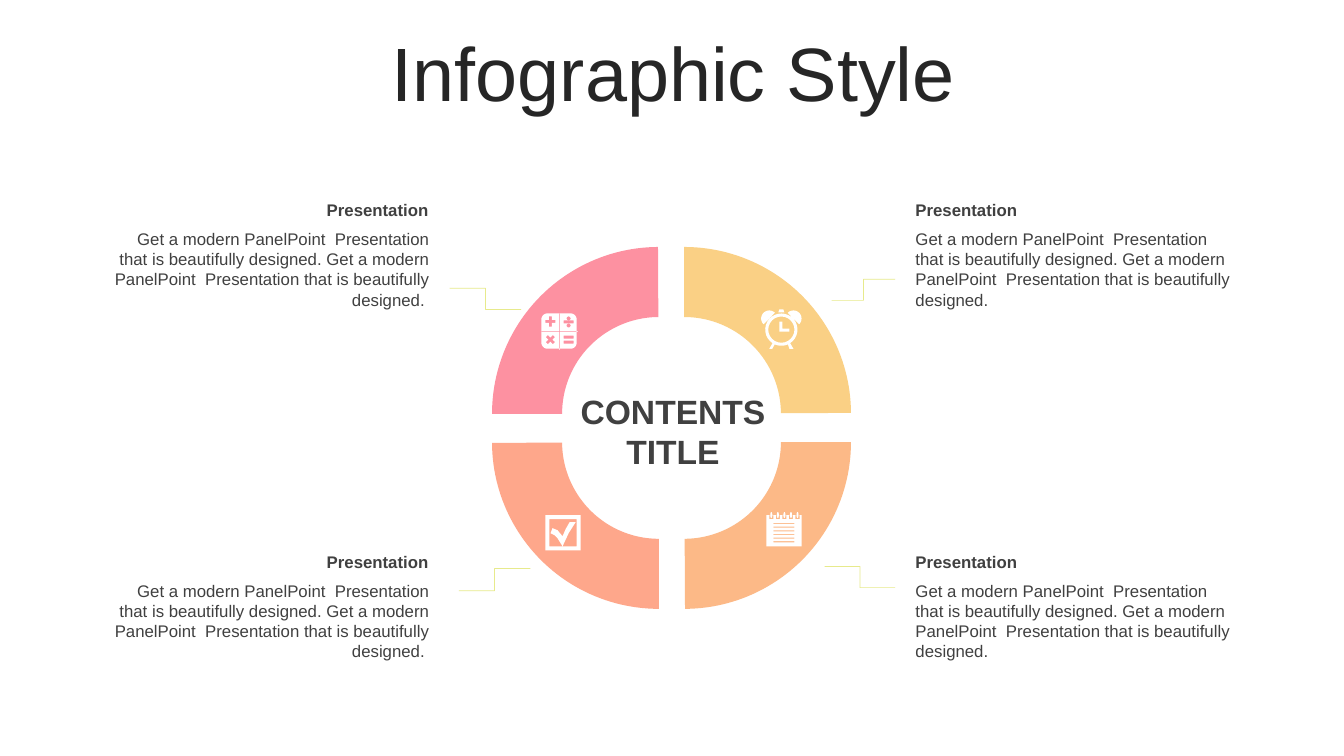
from math import cos, radians, sin

from lxml.etree import SubElement
from pptx import Presentation
from pptx.dml.color import RGBColor
from pptx.enum.shapes import MSO_CONNECTOR, MSO_SHAPE
from pptx.enum.text import MSO_ANCHOR, MSO_AUTO_SIZE, PP_ALIGN
from pptx.oxml.ns import qn
from pptx.util import Inches, Pt

COLORS = {
    "title": "262626", "text": "404040", "icon": "FFFFFF", "line": "DEE25C",
    "pink": "FD91A1", "yellow": "FAD085", "orange": "FCB987", "coral": "FEA78B",
}
BODY = ("Get a modern PanelPoint  Presentation that is beautifully designed. "
        "Get a modern PanelPoint  Presentation that is beautifully designed.")


def color(name):
    """Return the named colour."""
    return RGBColor.from_string(COLORS[name])


def place(sp, x, y, w, h):
    """Move and size a shape, in inches."""
    sp.left, sp.top, sp.width, sp.height = map(Inches, (x, y, w, h))


def write(tf, text, size=12, fill="text", bold=False, align=PP_ALIGN.LEFT, spacing=None):
    """Write one formatted paragraph for each line of text."""
    for i, line in enumerate(text.split("\n")):
        p = tf.add_paragraph() if i else tf.paragraphs[0]
        p.alignment = align
        p.line_spacing = spacing
        r = p.add_run()
        r.text = line
        r.font.name, r.font.size, r.font.bold = "Arial", Pt(size), bold
        r.font.color.rgb = color(fill)


def add_text(s, box, text, inset=0.0, **fmt):
    """Add a wrapping text box with equal side insets."""
    tf = s.shapes.add_textbox(*map(Inches, box)).text_frame
    tf.word_wrap = True
    tf.auto_size = MSO_AUTO_SIZE.SHAPE_TO_FIT_TEXT
    tf.margin_left = tf.margin_right = Inches(inset)
    write(tf, text, **fmt)


def add_note(s, x, y, align):
    """Add a heading with its description below."""
    add_text(s, (x, y, 3.2, 0.3), "Presentation", bold=True, align=align)
    body = BODY + " " if align == PP_ALIGN.RIGHT else BODY
    add_text(s, (x, y + 0.29, 3.21, 0.91), body, align=align)


def paint(sp, fill):
    """Fill a shape and remove its line and shadow."""
    sp.shadow.inherit = False
    sp.fill.solid()
    sp.fill.fore_color.rgb = color(fill)
    sp.line.fill.background()


def add_quarter(s, x, y, turn, fill):
    """Add one quarter of the ring."""
    sp = s.shapes.add_shape(MSO_SHAPE.BLOCK_ARC, *map(Inches, (x, y, 3.31, 3.31)))
    for i, value in enumerate((108, 161.82, 0.21)):
        sp.adjustments[i] = value
    sp.rotation = turn
    paint(sp, fill)


def add_leader(s, x1, y1, x2, y2):
    """Add a thin bent leader line."""
    c = s.shapes.add_connector(MSO_CONNECTOR.ELBOW, *map(Inches, (x1, y1, x2, y2)))
    c.line.width = Pt(0.5)
    c.line.color.rgb = color("line")
    sp_pr = c._element.spPr
    SubElement(sp_pr.find(".//" + qn("a:srgbClr")), qn("a:alpha"), val="70000")
    SubElement(sp_pr, qn("a:effectLst"))


def rect(x, y, w, h):
    """Return the corners of a rectangle."""
    return [(x, y), (x + w, y), (x + w, y + h), (x, y + h)]


def arc(cx, cy, rx, start, end, ry=None):
    """Return points on an arc, clockwise between two angles."""
    angles = [radians(start + (end - start) * i / 24) for i in range(25)]
    return [(cx + rx * cos(a), cy + (ry or rx) * sin(a)) for a in angles]


def oval(cx, cy, rx, ry=None):
    """Return points on a full ellipse."""
    return arc(cx, cy, rx, 0, 360, ry)


def plus(cx, cy, arm, half, turn=0):
    """Return the corners of a plus sign, turned by an angle."""
    points = []
    for quarter in range(4):
        a = radians(turn + 90 * quarter)
        for u, v in ((arm, -half), (arm, half), (half, half)):
            points.append((cx + u * cos(a) - v * sin(a), cy + u * sin(a) + v * cos(a)))
    return points


def add_icon(s, contours):
    """Add a white icon whose inner contours are holes."""
    first, *others = [[(Inches(x), Inches(y)) for x, y in c] for c in contours]
    builder = s.shapes.build_freeform(*first[0])
    builder.add_line_segments(first[1:], close=True)
    for contour in others:
        builder.move_to(*contour[0])
        builder.add_line_segments(contour[1:], close=True)
    paint(builder.convert_to_shape(), "icon")


def clock():
    """Return the contours of the alarm clock."""
    cx, cy = 7.75, 3.27
    outer = (arc(cx, cy, 0.16, 123, 417) + [(7.87, 3.46), (7.83, 3.46)]
             + arc(cx, cy, 0.16, 66, 114) + [(7.66, 3.46), (7.63, 3.46)])
    hands = [(7.73, 3.19), (7.76, 3.19), (7.76, 3.26), (7.83, 3.26), (7.83, 3.29), (7.73, 3.29)]
    knob = [(7.72, 3.1), (7.73, 3.07), (7.77, 3.07), (7.78, 3.1)]
    bells = [arc(7.63, 3.16, 0.08, 135, 315), arc(7.87, 3.16, 0.08, 225, 405)]
    return [outer, oval(cx, cy, 0.13), hands, knob, *bells]


def notepad():
    """Return the contours of the notepad."""
    lines = [rect(7.67, 5.19 + 0.18 * i / 5, 0.21, 0.01) for i in range(6)]
    centers = [7.65 + 0.26 * i / 4 for i in range(5)]
    slots = [rect(x - 0.02, 5.11, 0.04, 0.04) for x in centers]
    rings = [oval(x, 5.11, 0.01, 0.03) for x in centers]
    return [rect(7.6, 5.11, 0.35, 0.31), *lines, *slots, *rings]


def calculator():
    """Return the contours of the calculator."""
    corners = [(5.43, 3.17, 180), (5.66, 3.17, 270), (5.66, 3.4, 0), (5.43, 3.4, 90)]
    body = [pt for x, y, a in corners for pt in arc(x, y, 0.06, a, a + 90)]
    bars = [rect(5.59, y, 0.1, 0.03) for y in (3.18, 3.33, 3.38)]
    dots = [oval(5.64, y, 0.02) for y in (3.16, 3.23)]
    return [body, plus(5.55, 3.29, 0.18, 0.004), plus(5.46, 3.19, 0.05, 0.015),
            plus(5.46, 3.37, 0.05, 0.015, 45), *bars, *dots]


def checkbox():
    """Return the contours of the ticked box."""
    tick = [(5.46, 5.29), (5.48, 5.24), (5.53, 5.26), (5.58, 5.32), (5.61, 5.25), (5.65, 5.18),
            (5.71, 5.18), (5.64, 5.29), (5.58, 5.42), (5.53, 5.34), (5.5, 5.31)]
    return [rect(5.41, 5.11, 0.35, 0.35), rect(5.45, 5.15, 0.27, 0.27), tick]


def main():
    """Build the slide and save it."""
    prs = Presentation()
    prs.slide_width, prs.slide_height = Inches(13.33), Inches(7.5)
    s = prs.slides.add_slide(prs.slide_layouts[5])
    title = s.shapes.title
    place(title, 0.35, 0.37, 12.66, 0.79)
    tf = title.text_frame
    tf.auto_size = MSO_AUTO_SIZE.NONE
    tf.vertical_anchor = MSO_ANCHOR.MIDDLE
    write(tf, "Infographic Style", size=54, fill="title", align=PP_ALIGN.CENTER, spacing=0.9)

    for quarter in ((4.88, 2.45, 0, "pink"), (5.13, 2.45, 90, "yellow"),
                    (5.13, 2.73, 180, "orange"), (4.88, 2.73, 270, "coral")):
        add_quarter(s, *quarter)
    for x, align in ((9.08, PP_ALIGN.LEFT), (1.05, PP_ALIGN.RIGHT)):
        for y in (1.93, 5.42):
            add_note(s, x, y, align)
    for leader in ((4.55, 5.86, 5.26, 5.64), (4.46, 2.86, 5.17, 3.07),
                   (8.88, 5.83, 8.18, 5.62), (8.88, 2.77, 8.25, 2.98)):
        add_leader(s, *leader)
    add_text(s, (5.65, 3.83, 2.05, 0.91), "CONTENTS\nTITLE", inset=0.1,
             size=24, bold=True, align=PP_ALIGN.CENTER)
    for icon in (clock, notepad, calculator, checkbox):
        add_icon(s, icon())
    prs.save("out.pptx")


if __name__ == "__main__":
    main()
